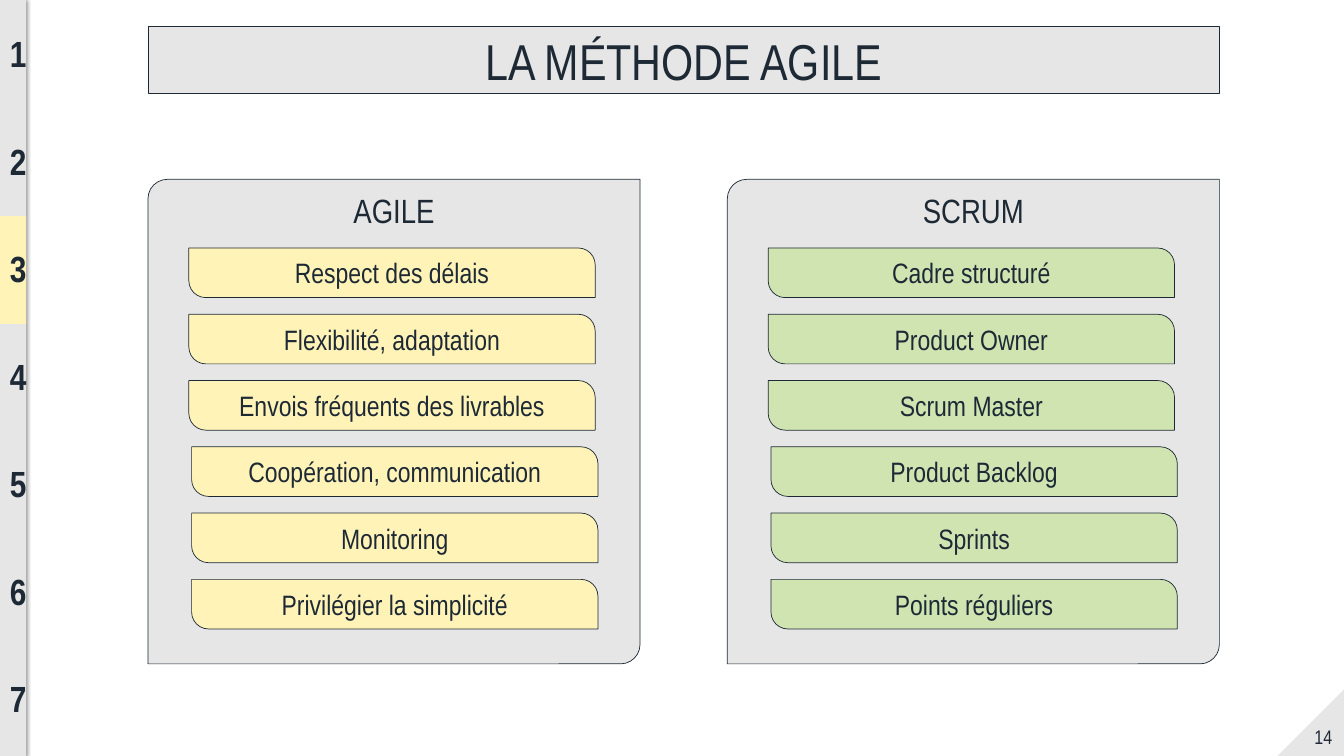
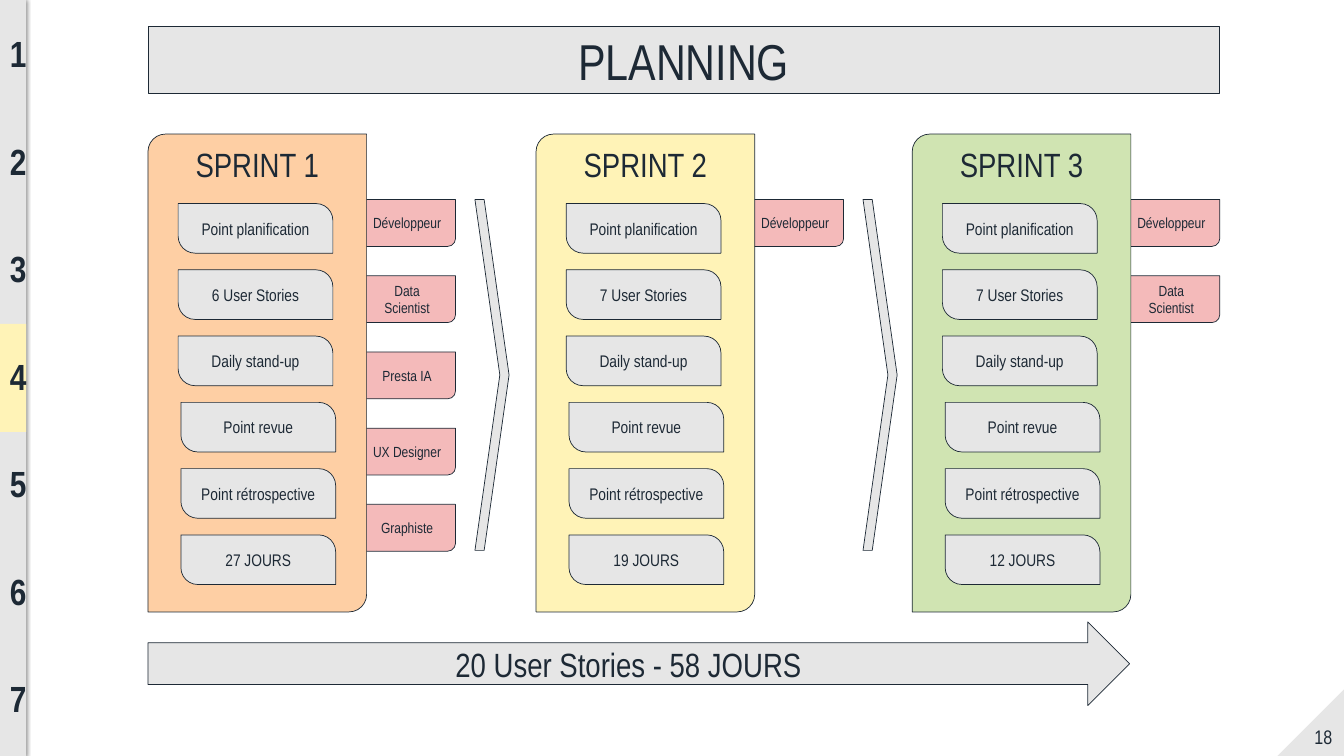
from pptx import Presentation
from pptx import oxml
from pptx import util as u
from pptx.dml.color import RGBColor
from pptx.enum import shapes, text
from pptx.oxml import ns

Cm, Pt = u.Cm, u.Pt
Kind = shapes.MSO_SHAPE
Anchor, Align = text.MSO_ANCHOR, text.PP_ALIGN

INK = RGBColor(0x1D, 0x29, 0x35)
GREY = RGBColor(0xE6, 0xE6, 0xE6)
YELLOW = RGBColor(0xFF, 0xF3, 0xB7)
GREEN = RGBColor(0xD0, 0xE4, 0xB2)
ORANGE = RGBColor(0xFE, 0xCF, 0xA4)
PINK = RGBColor(0xF4, 0xBA, 0xBA)
FONT = "Arial Narrow"

WIDTH, HEIGHT = 33.87, 19.05
LEFT, TOP = 3.73, 0.66
RAIL = 0.66
PARTS = 7

METHODS = [
    ("AGILE", YELLOW, 3.73, [
        "Respect des délais", "Flexibilité, adaptation",
        "Envois fréquents des livrables", "Coopération, communication",
        "Monitoring", "Privilégier la simplicité"]),
    ("SCRUM", GREEN, 18.33, [
        "Cadre structuré", "Product Owner", "Scrum Master",
        "Product Backlog", "Sprints", "Points réguliers"]),
]
SPRINTS = [
    ("SPRINT 1", ORANGE, 3.73, 6, 27,
     ["Développeur", "Data Scientist", "Presta IA", "UX Designer", "Graphiste"]),
    ("SPRINT 2", YELLOW, 13.51, 7, 19, ["Développeur"]),
    ("SPRINT 3", GREEN, 22.99, 7, 12, ["Développeur", "Data Scientist"]),
]
TOTAL = "20 User Stories - 58 JOURS"


def write(shape, words, size, bold=False, align=Align.CENTER, anchor=Anchor.MIDDLE):
    frame = shape.text_frame
    frame.word_wrap = True
    frame.auto_size = text.MSO_AUTO_SIZE.NONE
    frame.vertical_anchor = anchor
    frame.text = words
    para = frame.paragraphs[0]
    para.alignment = align
    font = para.runs[0].font
    font.name, font.size, font.bold = FONT, Pt(size), bold
    font.color.rgb = INK


def paint(shape, fill, edge=True):
    shape.fill.solid()
    shape.fill.fore_color.rgb = fill
    if edge:
        shape.line.color.rgb = INK
        shape.line.width = Pt(0.5)
    else:
        shape.line.fill.background()


def draw(slide, kind, box, fill, adjust=(), edge=True):
    shape = slide.shapes.add_shape(kind, *map(Cm, box))
    shape.shadow.inherit = False
    paint(shape, fill, edge)
    for i, value in enumerate(adjust):
        shape.adjustments[i] = value
    return shape


def label(slide, words, box, size, inset=0, drop=0, **style):
    shape = slide.shapes.add_textbox(*map(Cm, box))
    frame = shape.text_frame
    frame.margin_left, frame.margin_top = Cm(inset), Cm(drop)
    frame.margin_right = frame.margin_bottom = 0
    write(shape, words, size, **style)


def shade(shape):
    effect = shape.element.spPr.find(ns.qn("a:effectLst"))
    effect.append(oxml.parse_xml(
        f'<a:outerShdw {ns.nsdecls("a")} blurRad="{Pt(3)}" dist="0" dir="0">'
        '<a:srgbClr val="000000"><a:alpha val="50000"/></a:srgbClr></a:outerShdw>'))


def header(slide, words):
    title = slide.shapes.title
    title.left, title.top, title.width, title.height = map(Cm, (LEFT, TOP, 27, 1.7))
    title.element.spPr.append(oxml.parse_xml(
        f'<a:prstGeom {ns.nsdecls("a")} prst="round2DiagRect"><a:avLst/></a:prstGeom>'))
    paint(title, GREY)
    write(title, words, 36)


def rail(slide, active):
    shade(draw(slide, Kind.RECTANGLE, (0, 0, RAIL, HEIGHT), GREY, edge=False))
    step = HEIGHT / PARTS
    draw(slide, Kind.RECTANGLE, (0, (active - 1) * step, RAIL, step), YELLOW, edge=False)
    for i in range(PARTS):
        label(slide, str(i + 1), (0, TOP + i * 2.71, 0.7, 1.37), 26, inset=0.25,
              drop=0.13, bold=True, align=Align.LEFT, anchor=Anchor.TOP)


def corner(slide, number):
    side = 1.68
    mark = draw(slide, Kind.RIGHT_TRIANGLE,
                (WIDTH - side, HEIGHT - side, side, side), GREY, edge=False)
    mark.rotation = 270
    label(slide, str(number), (32.84, 18.05, 1.02, 1.02), 14)


def start(deck, words, active, number):
    slide = deck.slides.add_slide(deck.slide_layouts[5])
    header(slide, words)
    rail(slide, active)
    corner(slide, number)
    return slide


def panel(slide, name, box, fill, bend):
    card = draw(slide, Kind.ROUND_2_DIAG_RECTANGLE, box, fill, (bend, 0))
    write(card, name, 24, anchor=Anchor.TOP)


def stack(slide, items, left, top, width, fill, size):
    for i, item in enumerate(items):
        shift = 0.07 if i >= 3 else 0
        tile = draw(slide, Kind.ROUND_2_DIAG_RECTANGLE,
                    (left + shift, top + i * 1.67, width, 1.25), fill, (0, 0.34))
        write(tile, item, size)


def agile(deck):
    slide = start(deck, "LA MÉTHODE AGILE", 3, 14)
    for name, fill, left, items in METHODS:
        panel(slide, name, (left, 4.52, 12.4, 12.21), GREY, 0.04)
        stack(slide, items, left + 1.03, 6.25, 10.24, fill, 20)


def planning(deck):
    slide = start(deck, "PLANNING", 4, 18)
    for name, fill, left, stories, days, team in SPRINTS:
        for i, role in enumerate(team):
            chip = draw(slide, Kind.ROUND_2_DIAG_RECTANGLE,
                        (left + 5.31, 5.03 + i * 1.92, 2.44, 1.18), PINK)
            write(chip, role, 10.5)
        panel(slide, name, (left, 3.38, 5.51, 12.04), fill, 0.08)
        items = ["Point planification", f"{stories} User Stories", "Daily stand-up",
                 "Point revue", "Point rétrospective", f"{days} JOURS"]
        stack(slide, items, left + 0.76, 5.13, 3.9, GREY, 12)
    for sprint in SPRINTS[:-1]:
        draw(slide, Kind.CHEVRON, (sprint[2] + 8.24, 5.03, 0.86, 8.84), GREY, (0.73,))
    arrow = draw(slide, Kind.RIGHT_ARROW, (LEFT, 15.67, 24.74, 2.11), GREY)
    write(arrow, TOTAL, 24)


def main():
    deck = Presentation()
    deck.slide_width, deck.slide_height = Cm(WIDTH), Cm(HEIGHT)
    agile(deck)
    planning(deck)
    deck.save("out.pptx")


if __name__ == "__main__":
    main()
